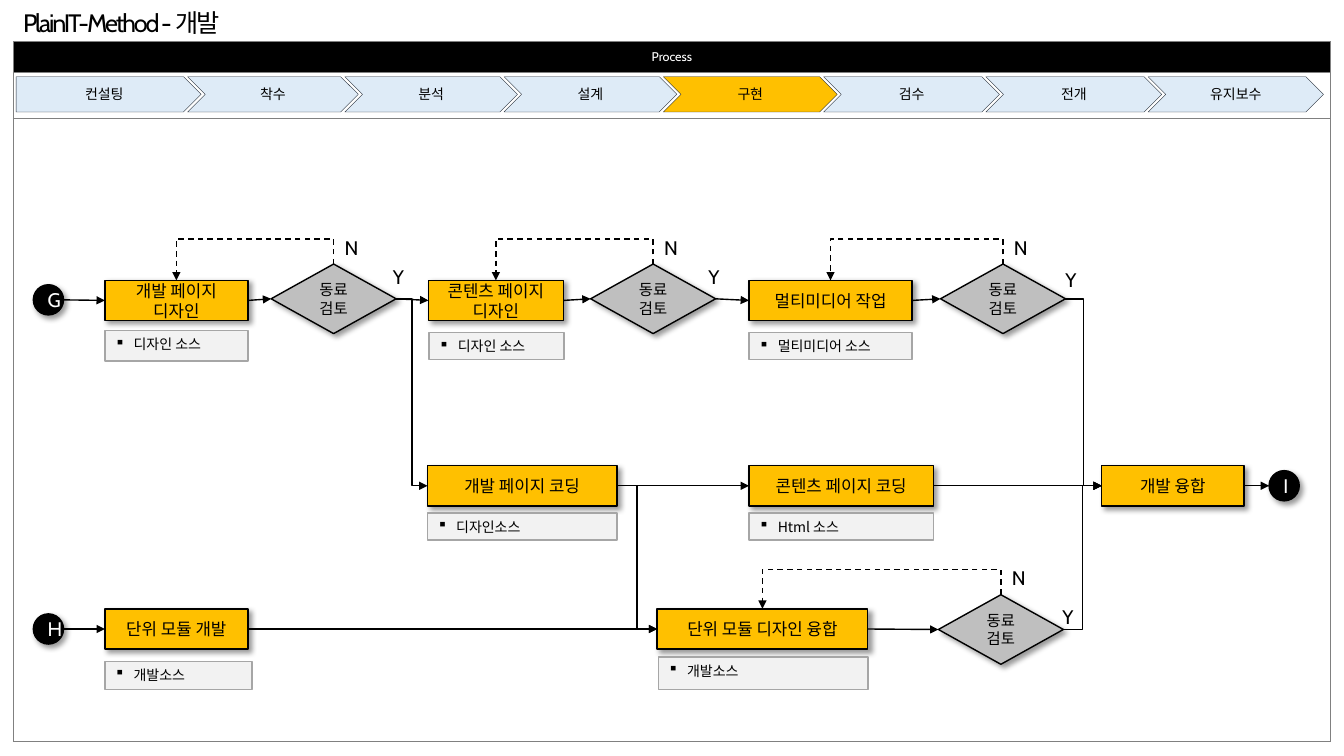
"""Builds the development process flow slide."""
from lxml import etree
from pptx import Presentation
from pptx.dml.color import RGBColor
from pptx.enum.dml import MSO_LINE
from pptx.enum.shapes import MSO_CONNECTOR, MSO_SHAPE
from pptx.enum.text import MSO_ANCHOR, MSO_AUTO_SIZE, PP_ALIGN
from pptx.oxml.ns import qn
from pptx.util import Pt

COLORS = {
    "black": "000000", "white": "FFFFFF", "grid": "808080", "navy": "222A35",
    "sky": "DEEBF7", "amber": "FFC000", "gray": "BFBFBF",
    "note": "F2F2F2", "note_line": "A6A6A6",
}
FORMATS = {
    "header": {"name": "Cabin", "size": Pt(9)},
    "phase": {"name": "Cabin", "size": Pt(10)},
    "note": {"name": "Noto Sans CJK KR", "size": Pt(10)},
    "review": {"name": "Cabin", "size": Pt(11)},
    "step": {"name": "Cabin", "size": Pt(12)},
    "mark": {"name": "Cabin", "size": Pt(14)},
    "title": {"name": "Cabin", "size": Pt(18)},
}
TOP, LEFT, RIGHT = 0, 1, 3
LOOP_RISE = 18


def rgb(name):
    return RGBColor.from_string(COLORS[name])


def sub(parent, tag, **attrs):
    return etree.SubElement(parent, qn(tag), {k: str(v) for k, v in attrs.items()})


def side(s, i):
    fx, fy = [(0.5, 0), (0, 0.5), (0.5, 1), (1, 0.5)][i]
    return int(s.left + s.width * fx), int(s.top + s.height * fy)


class FlowSlide:
    def __init__(self, prs):
        self.shapes = prs.slides.add_slide(prs.slide_layouts[6]).shapes

    def put_text(self, tf, text, fmt, color="black", align=PP_ALIGN.CENTER, bullet=None):
        for i, line in enumerate(text.split("\n")):
            p = tf.add_paragraph() if i else tf.paragraphs[0]
            p.alignment = align
            if bullet:
                pPr = p._p.get_or_add_pPr()
                pPr.set("marL", str(Pt(13.5)))
                pPr.set("indent", str(-Pt(13.5)))
                sub(pPr, "a:buChar", char=bullet)
            r = p.add_run()
            r.text = line
            for key, value in FORMATS[fmt].items():
                setattr(r.font, key, value)
            r.font.color.rgb = rgb(color)
            sub(r._r.get_or_add_rPr(), "a:ea", typeface=FORMATS[fmt]["name"])
        return r

    def shape(self, kind, box, fill, line=("black", 1), shadow=False):
        s = self.shapes.add_shape(kind, *map(Pt, box))
        s.fill.solid()
        s.fill.fore_color.rgb = rgb(fill)
        s.line.color.rgb = rgb(line[0])
        s.line.width = Pt(line[1])
        s.shadow.inherit = False
        if shadow:
            effects = s._element.spPr.find(qn("a:effectLst"))
            outer = sub(effects, "a:outerShdw", blurRad=Pt(4), dist=Pt(3),
                        dir=2700000, algn="tl", rotWithShape=0)
            sub(sub(outer, "a:srgbClr", val=COLORS["black"]), "a:alpha", val=40000)
        s.text_frame.vertical_anchor = MSO_ANCHOR.MIDDLE
        return s

    def frame(self, box, rows, text):
        s = self.shapes.add_table(len(rows), 1, *map(Pt, box))
        table = s.table
        table.first_row = table.horz_banding = False
        for i, height in enumerate(rows):
            table.rows[i].height = Pt(height)
            cell = table.cell(i, 0)
            tcPr = cell._tc.get_or_add_tcPr()
            for tag in ("a:lnL", "a:lnR", "a:lnT", "a:lnB"):
                ln = sub(tcPr, tag, w=Pt(0.5))
                sub(sub(ln, "a:solidFill"), "a:srgbClr", val=COLORS["grid"])
            cell.fill.background()
        head = table.cell(0, 0)
        head.fill.solid()
        head.fill.fore_color.rgb = rgb("black")
        head.vertical_anchor = MSO_ANCHOR.MIDDLE
        self.put_text(head.text_frame, text, "header", "white")

    def phases(self, names, edges, current):
        for i, name in enumerate(names):
            kind = MSO_SHAPE.CHEVRON if i else MSO_SHAPE.PENTAGON
            box = edges[i], 54.8, edges[i + 1] - edges[i] + 9.7, 25.2
            s = self.shape(kind, box, "amber" if name == current else "sky", ("navy", 0.25))
            self.put_text(s.text_frame, name, "phase")

    def step(self, text, x, y, w, note=None, note_box=None):
        s = self.shape(MSO_SHAPE.RECTANGLE, (x, y, w, 28.8), "amber", shadow=True)
        self.put_text(s.text_frame, text, "step")
        if note:
            n = self.shape(MSO_SHAPE.RECTANGLE, note_box, "note", ("note_line", 1))
            n.text_frame.vertical_anchor = MSO_ANCHOR.TOP
            self.put_text(n.text_frame, note, "note", align=PP_ALIGN.LEFT, bullet="▪")
        return s

    def review(self, text, x, y, yes):
        s = self.shape(MSO_SHAPE.DIAMOND, (x, y, 89.3, 49.7), "gray", shadow=True)
        self.put_text(s.text_frame, text, "review")
        self.label("Y", (x + yes[0], y + yes[1], 23, 24.5), "mark")
        self.label("N", (x + 45.4, y - 23.8, 25.2, 24.5), "mark")
        return s

    def marker(self, text, x, y):
        s = self.shape(MSO_SHAPE.OVAL, (x, y, 21.6, 21.6), "black", shadow=True)
        self.put_text(s.text_frame, text, "mark", "white")
        return s

    def label(self, text, box, fmt):
        tf = self.shapes.add_textbox(*map(Pt, box)).text_frame
        tf.word_wrap = False
        tf.auto_size = MSO_AUTO_SIZE.SHAPE_TO_FIT_TEXT
        return self.put_text(tf, text, fmt, align=PP_ALIGN.LEFT)

    def arrow(self, a, b, kind=MSO_CONNECTOR.STRAIGHT, start=RIGHT, end=LEFT, dashed=False):
        s = self.shapes.add_connector(kind, *side(a, start), *side(b, end))
        if a.auto_shape_type != MSO_SHAPE.OVAL:
            s.begin_connect(a, start)
        if b.auto_shape_type != MSO_SHAPE.OVAL:
            s.end_connect(b, end)
        s.line.color.rgb = rgb("black")
        s.line.width = Pt(1)
        if dashed:
            s.line.dash_style = MSO_LINE.DASH
        spPr = s._element.spPr
        sub(spPr.find(qn("a:ln")), "a:tailEnd", type="triangle")
        sub(spPr, "a:effectLst")
        return s

    def elbow(self, a, b):
        return self.arrow(a, b, MSO_CONNECTOR.ELBOW)

    def loop(self, a, b):
        s = self.arrow(a, b, MSO_CONNECTOR.ELBOW, TOP, TOP, True)
        (x1, y1), (x2, y2) = side(a, TOP), side(b, TOP)
        dx, dy = x1 - x2, y2 - y1
        s.left, s.top = (x1 + x2 - dy) // 2, (y1 + y2 - dx) // 2
        s.width, s.height = dy, dx
        xfrm = s._element.spPr.find(qn("a:xfrm"))
        for key, value in {"rot": "16200000", "flipH": "1", "flipV": "1"}.items():
            xfrm.set(key, value)
        geom = s._element.spPr.find(qn("a:prstGeom"))
        for old in geom.findall(qn("a:avLst")):
            geom.remove(old)
        rise = -round(Pt(LOOP_RISE) / dy * 100000)
        sub(sub(geom, "a:avLst"), "a:gd", name="adj1", fmla=f"val {rise}")


def main():
    prs = Presentation()
    prs.slide_width, prs.slide_height = Pt(960), Pt(540)
    s = FlowSlide(prs)
    s.frame((9.4, 29.7, 941, 499.7), (22.3, 32.4, 445), "Process")
    s.phases(["컨설팅", "착수", "분석", "설계", "구현", "검수", "전개", "유지보수"],
             [11.5, 134, 246.3, 360, 473.8, 588.3, 704.2, 820.1, 935.7], "구현")

    top, middle, bottom = 200.2, 332.6, 434.9
    g = s.marker("G", 23.8, top + 3.2)
    h = s.marker("H", 23.8, bottom + 3.6)
    i = s.marker("I", 906.5, middle + 3.6)
    page = s.step("개발 페이지\n디자인", 74.9, top, 102.2, "디자인 소스", (74.9, 236.2, 102.2, 21.6))
    content = s.step("콘텐츠 페이지\n디자인", 306, top, 96.5, "디자인 소스", (306.5, 237.6, 96.5, 19.4))
    media = s.step("멀티미디어 작업", 535, top, 116.6, "멀티미디어 소스", (535, 237.6, 116.6, 19.4))
    page_code = s.step("개발 페이지 코딩", 305.3, middle, 135.4, "디자인소스", (305.3, 366.5, 135.4, 19.4))
    content_code = s.step("콘텐츠 페이지 코딩", 535, middle, 131.8, "Html 소스", (535, 366.5, 131.8, 19.4))
    merge = s.step("개발 융합", 787, middle, 101.5)
    module = s.step("단위 모듈 개발", 74.9, bottom, 102.2, "개발소스", (74.9, 472.3, 105.1, 20.2))
    module_merge = s.step("단위 모듈 디자인 융합", 469.4, bottom, 150.5, "개발소스", (470.2, 469.4, 149.8, 23))
    page_review = s.review("동료검토", 193.7, 188.6, (79.9, -2.9))
    content_review = s.review("동료\n검토", 421.9, 188.6, (77, -2.9))
    media_review = s.review("동료검토", 671.8, 188.6, (82.1, -0.7))
    module_review = s.review("동료\n검토", 670.3, 424.8, (81.4, 3.6))

    for chain in ((g, page, page_review, content, content_review, media, media_review),
                  (page_code, content_code, merge, i),
                  (h, module, module_merge, module_review)):
        for a, b in zip(chain, chain[1:]):
            s.arrow(a, b)
    for a, b in ((page_review, page_code), (page_code, module_merge),
                 (media_review, merge), (module_review, merge)):
        s.elbow(a, b)
    for a, b in ((page_review, page), (content_review, content),
                 (media_review, media), (module_review, module_merge)):
        s.loop(a, b)

    r = s.label("PlainIT-Method - 개발", (9.4, 1.4, 163.4, 28.8), "title")
    r._r.get_or_add_rPr().set("spc", "-150")
    prs.save("out.pptx")


if __name__ == "__main__":
    main()
